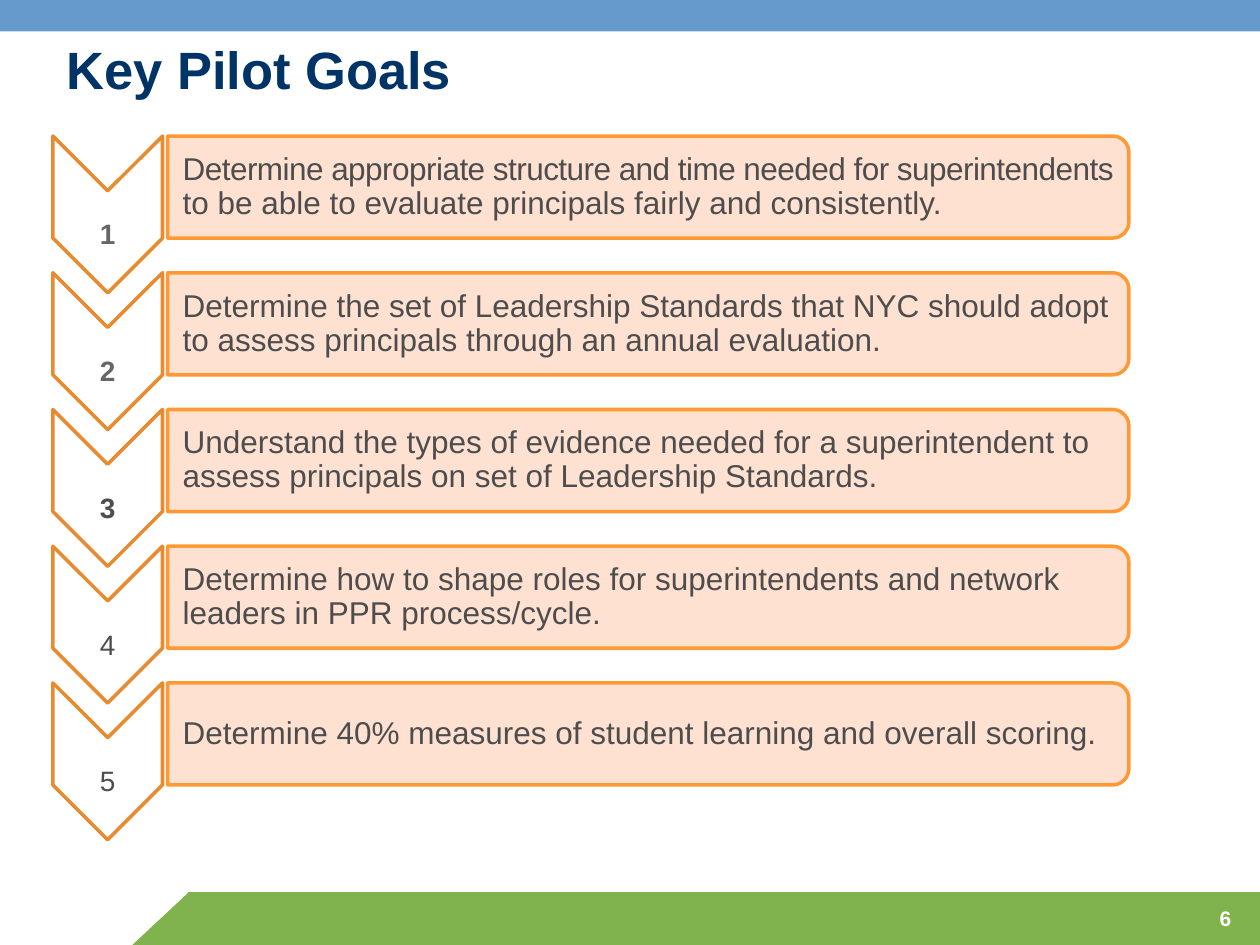
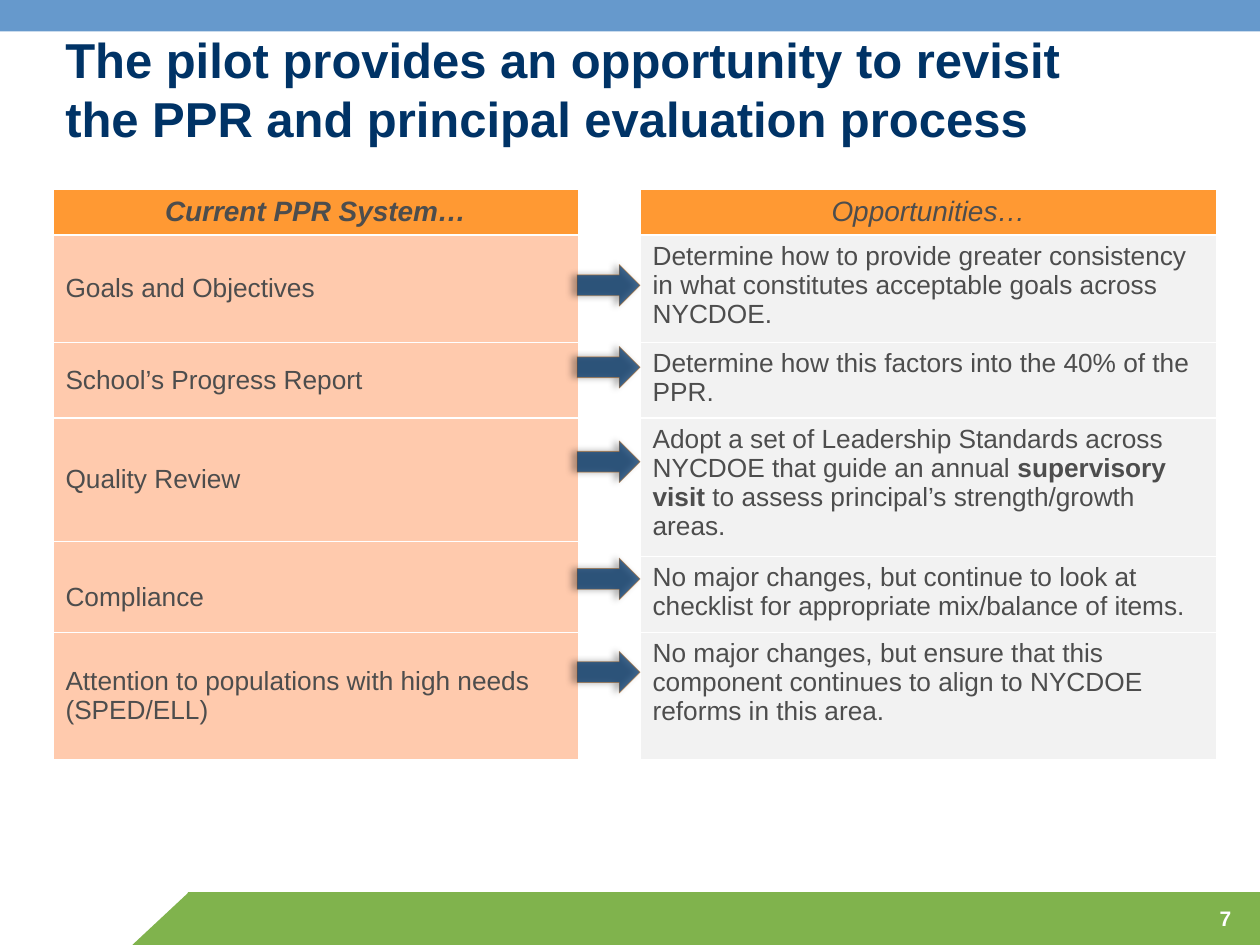
import math
import pptx
import pptx.util
import pptx.dml.color
import pptx.enum.shapes
import pptx.enum.text
import pptx.oxml
import pptx.oxml.ns

Inches = pptx.util.Inches
Pt = pptx.util.Pt
RGB = pptx.dml.color.RGBColor
Kind = pptx.enum.shapes.MSO_SHAPE
Align = pptx.enum.text.PP_ALIGN
Anchor = pptx.enum.text.MSO_ANCHOR
qn = pptx.oxml.ns.qn

FONT = "Arial"
WHITE = RGB(0xFF, 0xFF, 0xFF)
NAVY = RGB(0x00, 0x33, 0x66)
BLUE = RGB(0x66, 0x99, 0xCC)
GREEN = RGB(0x80, 0xB3, 0x4D)
ORANGE = RGB(0xFF, 0x99, 0x33)
RUST = RGB(0xE7, 0x8B, 0x2E)
BROWN = RGB(0xBD, 0x71, 0x26)
PEACH = RGB(0xFF, 0xDE, 0xCE)
SALMON = RGB(0xFF, 0xCA, 0xAD)
PALE = RGB(0xF2, 0xF2, 0xF2)
DARK = RGB(0x4D, 0x4D, 0x4D)
GREY = RGB(0x66, 0x66, 0x66)


def write(frame, text, size=15, color=DARK, bold=False, italic=False,
          align=Align.LEFT, anchor=Anchor.MIDDLE, pads=(0.1, 0.05, 0.1, 0.05), gap=None):
    """Fill a frame; text is a string or a list of (words, bold, tracking)."""
    frame.word_wrap = True
    frame.vertical_anchor = anchor
    sides = [Inches(pad) for pad in pads]
    frame.margin_left, frame.margin_top, frame.margin_right, frame.margin_bottom = sides
    para = frame.paragraphs[0]
    para.alignment = align
    para.line_spacing = gap
    for words, heavy, track in [(text, bold, 0)] if isinstance(text, str) else text:
        run = para.add_run()
        run.text = words
        font = run.font
        font.name, font.size, font.bold, font.italic = FONT, Pt(size), heavy, italic
        font.color.rgb = color
        if track:
            run._r.get_or_add_rPr().set("spc", str(track))


def paint(shape, fill, line=None, width=2, clear=None, faint=None):
    """Set fill and line; clear and faint are their opacity in percent."""
    shape.shadow.inherit = False
    shape.fill.solid()
    shape.fill.fore_color.rgb = fill
    if line is None:
        shape.line.fill.background()
    else:
        shape.line.color.rgb = line
        shape.line.width = Pt(width)
    props = shape._element.spPr
    for where, level in (("a:solidFill", clear), ("a:ln/a:solidFill", faint)):
        if level:
            tone = props.find("/".join(qn(tag) for tag in where.split("/")))[0]
            tone.append(pptx.oxml.parse_xml(
                f'<a:alpha {pptx.oxml.ns.nsdecls("a")} val="{level * 1000}"/>'))


deck = pptx.Presentation()
deck.slide_width = Inches(10)
deck.slide_height = Inches(7.5)

# Shared frame: bands, title, page number
titles = [
    ("Key Pilot Goals", 30, (0.43, 0.17, 8.5, 0.67)),
    ("The pilot provides an opportunity to revisit the PPR and principal evaluation process",
     28, (0.42, 0.39, 8.74, 0.83)),
]
bands = [
    (Kind.RECTANGLE, (1.49, 7.08, 8.51, 0.42), GREEN),
    (Kind.RIGHT_TRIANGLE, (1.05, 7.08, 0.45, 0.42), GREEN),
    (Kind.RECTANGLE, (0, 0, 10, 0.25), BLUE),
]
slides = []
for page, (title, size, place) in enumerate(titles, 6):
    slide = deck.slides.add_slide(deck.slide_layouts[6])
    for kind, spot, color in bands:
        band = slide.shapes.add_shape(kind, *map(Inches, spot))
        paint(band, color)
        if kind == Kind.RIGHT_TRIANGLE:
            band._element.spPr.find(qn("a:xfrm")).set("flipH", "1")
    box = slide.shapes.add_textbox(*map(Inches, place))
    write(box.text_frame, title, size=size, color=NAVY, bold=True, anchor=Anchor.BOTTOM)
    box = slide.shapes.add_textbox(*map(Inches, (8.79, 7.14, 1.08, 0.25)))
    write(box.text_frame, str(page), size=12, color=WHITE, bold=True,
          align=Align.RIGHT, anchor=Anchor.TOP)
    slides.append(slide)
goals, chances = slides

# Goals: a chevron and a box rounded on its right side, five times
steps = [
    ([("Determine appropriate structure and time needed for superintendents", False, -30),
      (" to be able to evaluate principals fairly and consistently.", False, 0)], GREY, True),
    ("Determine the set of Leadership Standards that NYC should adopt to assess principals "
     "through an annual evaluation.", GREY, True),
    ("Understand the types of evidence needed for a superintendent to assess principals "
     "on set of Leadership Standards.", DARK, True),
    ("Determine how to shape roles for superintendents and network leaders in PPR "
     "process/cycle.", DARK, False),
    ("Determine 40% measures of student learning and overall scoring.", DARK, False),
]
LEFT, MID, RIGHT = 0.42, 0.855, 1.29
START, END = 1.33, 8.96
TALL, DROP, ROUND = 0.81, 0.435, 0.13
for i, (goal, color, bold) in enumerate(steps):
    top = 1.08 + i * 1.085
    low = top + TALL
    arrow = [(RIGHT, top), (RIGHT, low), (MID, low + DROP),
             (LEFT, low), (LEFT, top), (MID, top + DROP)]
    panel = [(START, low), (START, top)]
    for mid, first in ((top + ROUND, -90), (low - ROUND, 0)):
        for turn in range(first, first + 91, 10):
            angle = math.radians(turn)
            panel.append((END - ROUND + ROUND * math.cos(angle),
                          mid + ROUND * math.sin(angle)))
    parts = []
    for points, fill, line, clear in ((arrow, WHITE, RUST, None), (panel, PEACH, ORANGE, 90)):
        path = [(Inches(x), Inches(y)) for x, y in points]
        pen = goals.shapes.build_freeform(*path[0])
        pen.add_line_segments(path[1:], close=True)
        part = pen.convert_to_shape()
        paint(part, fill, line, clear=clear)
        parts.append(part.text_frame)
    write(parts[0], str(i + 1), size=16, color=color, bold=bold, align=Align.CENTER,
          pads=(0.01, 0.34, 0.01, 0), gap=0.9)
    write(parts[1], goal, size=18, pads=(0.12, 0.05, 0.05, 0.05), gap=0.9)

# Table: current system and opportunities, with an open column between
wide = [4.17, 0.49, 4.58]
high = [0.35, 0.8, 0.57, 0.98, 0.06, 0.57, 1.01]
table = chances.shapes.add_table(len(high), len(wide), Inches(0.42), Inches(1.5),
                                 Inches(sum(wide)), Inches(sum(high))).table
table.horz_banding = False
for col, width in zip(table.columns, wide):
    col.width = Inches(width)
for row, height in zip(table.rows, high):
    row.height = Inches(height)
for cell in table.iter_cells():
    cell.fill.background()
    cell.text_frame.paragraphs[0].font.size = Pt(1)
    cell.margin_top = cell.margin_bottom = 0
for first, last in (((0, 1), (6, 1)), ((3, 2), (4, 2)), ((4, 0), (5, 0))):
    table.cell(*first).merge(table.cell(*last))

heads = [(0, "Current PPR System…", True), (2, "Opportunities…", False)]
current = [(1, "Goals and Objectives"), (2, "School’s Progress Report"), (3, "Quality Review"),
           (4, "Compliance"), (6, "Attention to populations with high needs (SPED/ELL)")]
future = [
    (1, "Determine how to provide greater consistency in what constitutes acceptable goals "
        "across NYCDOE."),
    (2, "Determine how this factors into the 40% of the PPR."),
    (3, [("Adopt a set of Leadership Standards across NYCDOE that guide an annual ", False, 0),
         ("supervisory visit ", True, 0),
         ("to assess principal’s strength/growth areas.", False, 0)]),
    (5, "No major changes, but continue to look at checklist for appropriate mix/balance "
        "of items."),
    (6, "No major changes, but ensure that this component continues to align to NYCDOE "
        "reforms in this area."),
]
cells = [(0, col, text, ORANGE, dict(size=16, bold=bold, italic=True, align=Align.CENTER))
         for col, text, bold in heads]
cells += [(row, 0, text, SALMON, dict(pads=(0.1, 0.22 if row == 4 else 0.05, 0.1, 0.05)))
          for row, text in current]
cells += [(row, 2, text, PALE, dict(anchor=Anchor.TOP)) for row, text in future]
for row, col, text, fill, style in cells:
    cell = table.cell(row, col)
    cell.fill.solid()
    cell.fill.fore_color.rgb = fill
    anchor = style.pop("anchor", Anchor.MIDDLE)
    pads = style.pop("pads", (0.1, 0.05, 0.1, 0.05))
    write(cell.text_frame, text, **style)
    cell.vertical_anchor = anchor
    cell.margin_left, cell.margin_top, cell.margin_right, cell.margin_bottom = map(Inches, pads)
    # Cells keep anchor and margins themselves, not in the text body
    body = cell.text_frame._txBody.find(qn("a:bodyPr"))
    for name in list(body.attrib):
        del body.attrib[name]

# Arrows across the open column, with a soft shadow to the left
for top in (2.1, 2.75, 3.5, 4.43, 5.17):
    arrow = chances.shapes.add_shape(Kind.RIGHT_ARROW, Inches(4.58), Inches(top),
                                     Inches(0.5), Inches(0.33))
    paint(arrow, NAVY, BROWN, width=0.5, clear=75, faint=50)
    arrow._element.spPr.find(qn("a:effectLst")).append(pptx.oxml.parse_xml(
        f'<a:outerShdw {pptx.oxml.ns.nsdecls("a")} blurRad="{Pt(4)}" dist="{Pt(3)}" '
        'dir="10800000" rotWithShape="0"><a:srgbClr val="000000">'
        '<a:alpha val="40000"/></a:srgbClr></a:outerShdw>'))

deck.save("out.pptx")
